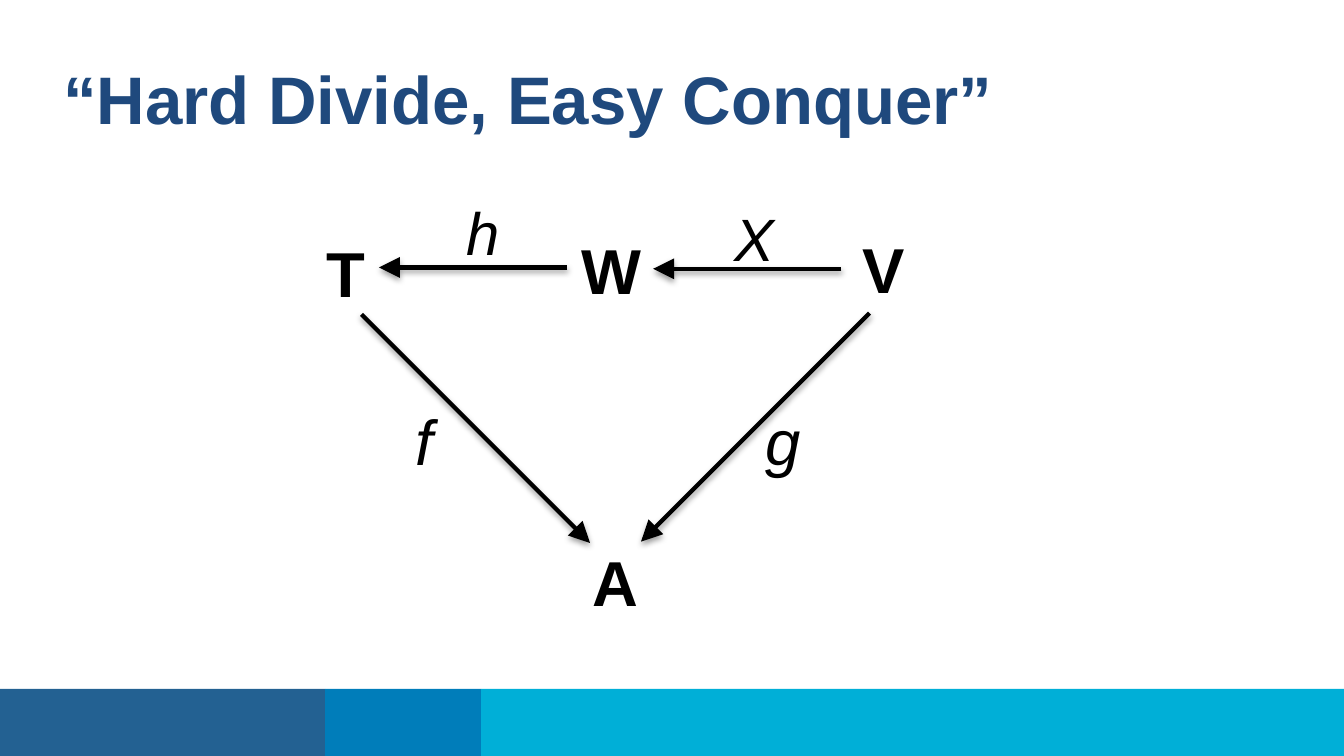
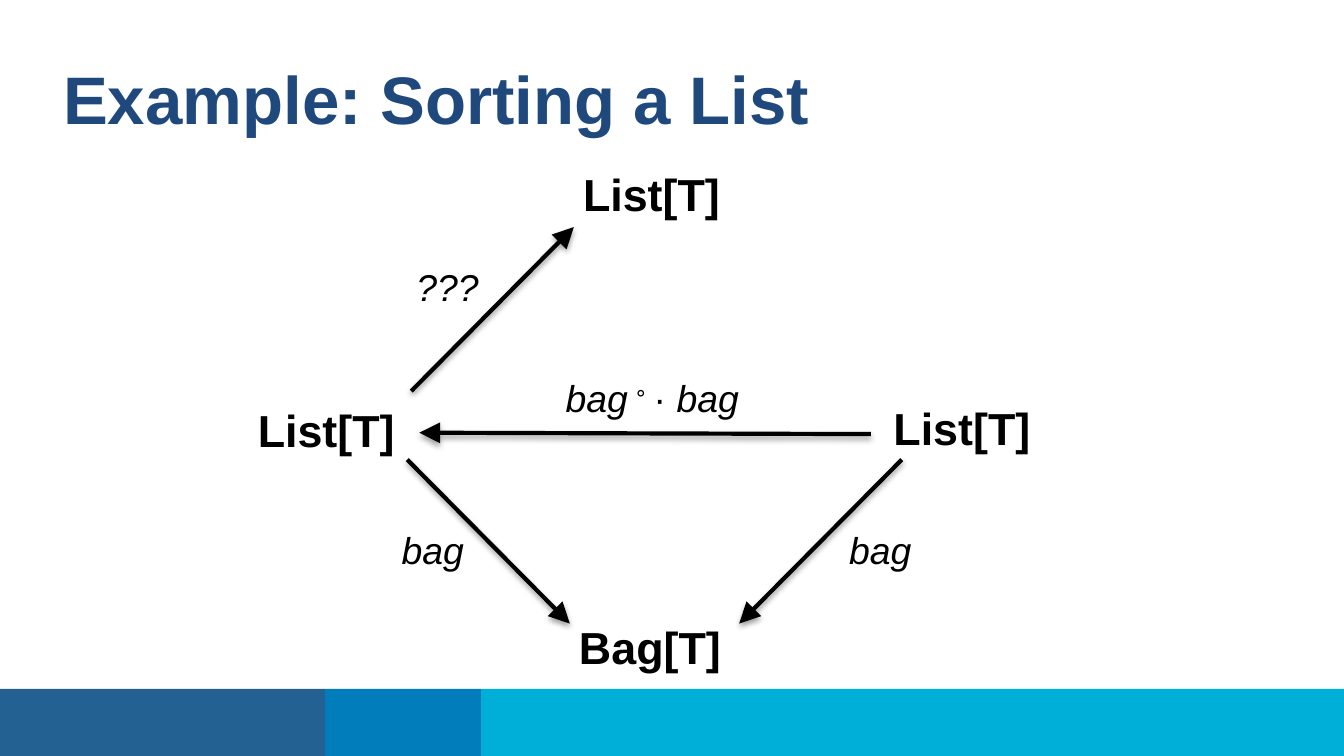
import pptx
import pptx.util
import pptx.dml.color
import pptx.enum.shapes
import pptx.enum.text
import pptx.oxml
import pptx.oxml.ns
from pptx.util import Inches

FONT = "Arial"
COLORS = {
    "title": "1F497D",
    "ink": "000000",
    "navy": "236192",
    "blue": "007DBA",
    "cyan": "00AFD7",
}
WIDTH = 10
HEIGHT = WIDTH * 9 / 16
BANDS = [("navy", 2.42), ("blue", 1.16), ("cyan", 6.42)]
TITLE_BOX = (0.37, 0.38, 9.23, 0.75)
FOOTER_BOX = (0, HEIGHT - 0.5, WIDTH, 0.5)

SHADOW = (
    f'<a:effectLst {pptx.oxml.ns.nsdecls("a")}>'
    '<a:outerShdw blurRad="40000" dist="20000" dir="5400000" rotWithShape="0">'
    f'<a:srgbClr val="{COLORS["ink"]}"><a:alpha val="38000"/></a:srgbClr>'
    "</a:outerShdw></a:effectLst>"
)
ARROWHEAD = (
    f'<a:tailEnd {pptx.oxml.ns.nsdecls("a")} type="triangle" w="lg" len="lg"/>'
)


def rgb(name):
    """Return the named colour."""
    return pptx.dml.color.RGBColor.from_string(COLORS[name])


def add_span(para, text, size, color="ink", bold=False, italic=False, raised=False):
    """Append one formatted run to a paragraph."""
    span = para.add_run()
    span.text = text
    span.font.name = FONT
    span.font.size = pptx.util.Pt(size)
    span.font.bold = bold
    span.font.italic = italic
    span.font.color.rgb = rgb(color)
    if raised:
        span._r.get_or_add_rPr().set("baseline", "30000")


def add_footer(page, box):
    """Draw the colour bands and move them to the shared layout."""
    left, top, _, height = box
    for color, width in BANDS:
        band = page.shapes.add_shape(
            pptx.enum.shapes.MSO_SHAPE.RECTANGLE,
            Inches(left), Inches(top), Inches(width), Inches(height),
        )
        band.shadow.inherit = False
        band.fill.solid()
        band.fill.fore_color.rgb = rgb(color)
        band.line.fill.background()
        page.slide_layout.shapes.element.append(band.element)
        left += width


def add_title(page, box, text):
    """Place and format the title placeholder."""
    title = page.shapes.title
    title.left, title.top, title.width, title.height = map(Inches, box)
    frame = title.text_frame
    frame.word_wrap = True
    frame.auto_size = pptx.enum.text.MSO_AUTO_SIZE.NONE
    frame.vertical_anchor = pptx.enum.text.MSO_ANCHOR.MIDDLE
    frame.margin_bottom = Inches(0.11)
    para = frame.paragraphs[0]
    para.alignment = pptx.enum.text.PP_ALIGN.LEFT
    add_span(para, text, 36, "title", bold=True)


def add_label(page, left, top, width, size, spans):
    """Add an unwrapped label whose height follows its text size."""
    height = round(size * 1.2 / 72 + 0.1, 2)
    label = page.shapes.add_textbox(
        Inches(left), Inches(top), Inches(width), Inches(height)
    )
    frame = label.text_frame
    frame.word_wrap = False
    frame.auto_size = pptx.enum.text.MSO_AUTO_SIZE.SHAPE_TO_FIT_TEXT
    for text, style in spans:
        add_span(frame.paragraphs[0], text, size, **style)


def add_arrow(page, start, end):
    """Add a black arrow with a soft shadow."""
    arrow = page.shapes.add_connector(
        pptx.enum.shapes.MSO_CONNECTOR.STRAIGHT, *map(Inches, start + end)
    )
    arrow.line.color.rgb = rgb("ink")
    arrow.line.width = pptx.util.Pt(2.25)
    arrow.line._get_or_add_ln().append(pptx.oxml.parse_xml(ARROWHEAD))
    arrow.element.spPr.append(pptx.oxml.parse_xml(SHADOW))


def add_diagram(page, origin, arrows, labels):
    """Draw arrows and labels relative to the diagram's corner."""
    x, y = origin
    for x1, y1, x2, y2 in arrows:
        add_arrow(page, (x + x1, y + y1), (x + x2, y + y2))
    for left, top, width, size, spans in labels:
        add_label(page, x + left, y + top, width, size, spans)


def add_page(deck, title):
    """Add a titled page."""
    page = deck.slides.add_slide(deck.slide_layouts[5])
    add_title(page, TITLE_BOX, title)
    return page


def node(text):
    """Return the spans of a type name."""
    return [(text, {"bold": True})]


def edge(text):
    """Return the spans of a function name."""
    return [(text, {"italic": True})]


def add_conquer_page(deck):
    """Build the general diagram."""
    page = add_page(deck, "“Hard Divide, Easy Conquer”")
    arrows = [
        (4.14, 0.92, 2.44, 2.62),
        (0.36, 0.93, 2.06, 2.63),
        (1.89, 0.58, 0.49, 0.58),
        (3.93, 0.59, 2.53, 0.59),
    ]
    labels = [
        (3.99, 0.25, 0.52, 34, node("V")),
        (0, 0.28, 0.49, 34, node("T")),
        (1.98, 2.58, 0.55, 34, node("A")),
        (1.9, 0.26, 0.65, 34, node("W")),
        (0.66, 1.53, 0.34, 34, edge("f")),
        (3.27, 1.53, 0.47, 34, edge("g")),
        (1.04, 0, 0.45, 32, edge("h")),
        (3.04, 0.04, 0.5, 32, edge("X")),
    ]
    add_diagram(page, (2.33, 1.41), arrows, labels)
    return page


def add_sorting_page(deck):
    """Build the list sorting diagram."""
    page = add_page(deck, "Example: Sorting a List")
    arrows = [
        (4.89, 2.23, 3.68, 3.45),
        (1.21, 2.23, 2.42, 3.45),
        (1.24, 1.72, 2.45, 0.5),
        (4.66, 2.04, 1.3, 2.03),
    ]
    composition = edge("bag") + [(" ∘ ", {"raised": True}), ("· ", {})] + edge("bag")
    labels = [
        (2.39, 3.37, 1.27, 24, node("Bag[T]")),
        (2.42, 0, 1.23, 24, node("List[T]")),
        (4.73, 1.74, 1.23, 24, node("List[T]")),
        (0, 1.76, 1.23, 24, node("List[T]")),
        (1.18, 0.73, 0.67, 20, edge("???")),
        (1.07, 2.68, 0.67, 20, edge("bag")),
        (4.4, 2.68, 0.67, 20, edge("bag")),
        (2.29, 1.55, 1.5, 20, composition),
    ]
    add_diagram(page, (1.82, 1.19), arrows, labels)


def main():
    """Build and save the deck."""
    deck = pptx.Presentation()
    deck.slide_width, deck.slide_height = Inches(WIDTH), Inches(HEIGHT)
    page = add_conquer_page(deck)
    add_footer(page, FOOTER_BOX)
    add_sorting_page(deck)
    deck.save("out.pptx")


if __name__ == "__main__":
    main()
